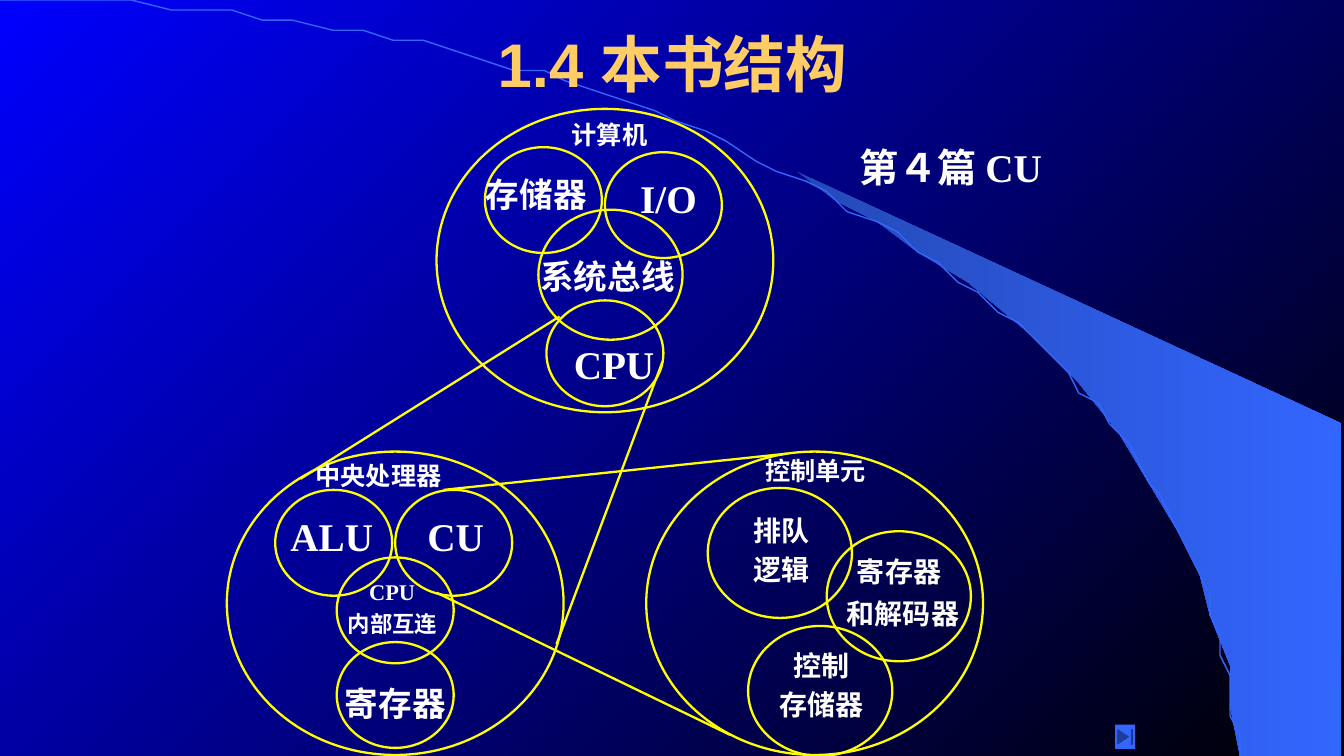
from pptx import Presentation
from pptx.dml.color import RGBColor
from pptx.enum.shapes import MSO_CONNECTOR as Connector, MSO_SHAPE as Preset
from pptx.enum.text import MSO_ANCHOR as Anchor, PP_ALIGN as Align
from pptx.oxml.ns import qn
from pptx.util import Inches, Pt
from lxml.etree import SubElement

# Grid: square cells, 133.3 columns by 75 rows
CELL = Inches(0.1)
COLUMNS, ROWS = 133.3, 75

BLUE = RGBColor(0x00, 0x00, 0xFF)
BLACK = RGBColor(0x00, 0x00, 0x00)
DEEP_BLUE = RGBColor(0x24, 0x49, 0xB6)
BRIGHT_BLUE = RGBColor(0x33, 0x66, 0xFF)
GOLD = RGBColor(0xFF, 0xCC, 0x66)
YELLOW = RGBColor(0xFF, 0xFF, 0x00)
WHITE = RGBColor(0xFF, 0xFF, 0xFF)

CHINESE, SERIF, SANS = "Noto Sans CJK SC", "Times New Roman", "Arial"

# Circle diameters as columns, rows
SMALL, MEDIUM, LARGE = (11.6, 10.5), (14.3, 12.9), (33.4, 30.1)


def cells(*counts):
    return [round(count * CELL) for count in counts]


def write(frame, text, font=CHINESE, size=18, color=WHITE, align=Align.LEFT):
    """Append text to the last paragraph; each line break opens a new one."""
    for index, line in enumerate(text.split("\n")):
        paragraph = frame.add_paragraph() if index else frame.paragraphs[-1]
        paragraph.alignment = align
        if index:
            paragraph.space_before = Pt(size * 0.2)
        run = paragraph.add_run()
        run.text = line
        run.font.name, run.font.size, run.font.bold = font, Pt(size), True
        run.font.color.rgb = color
        SubElement(run.font._element, qn("a:ea"), typeface=CHINESE)


class Diagram:
    def __init__(self, slide, line_color=YELLOW, line_width=1.63):
        self.slide, self.shapes = slide, slide.shapes
        self.line_color, self.line_width = line_color, Pt(line_width)

    def gradient(self, fill, start, end, angle):
        fill.gradient()
        fill.gradient_angle = angle
        for stop, color, position in zip(fill.gradient_stops, (start, end), (0, 1)):
            stop.color.rgb, stop.position = color, position

    def outline(self, points, closed):
        builder = self.shapes.build_freeform(*points[0], scale=CELL)
        builder.add_line_segments(points[1:], close=closed)
        shape = builder.convert_to_shape()
        shape.shadow.inherit = False
        return shape

    def circle(self, left, top, diameters):
        ring = self.shapes.add_shape(Preset.OVAL, *cells(left, top, *diameters))
        ring.shadow.inherit = False
        ring.fill.background()
        ring.line.color.rgb, ring.line.width = self.line_color, self.line_width

    def line(self, *ends):
        link = self.shapes.add_connector(Connector.STRAIGHT, *cells(*ends))
        link.line.color.rgb, link.line.width = self.line_color, self.line_width
        SubElement(link._element.spPr, qn("a:effectLst"))

    def label(self, text, left, top, width, height, anchor=Anchor.TOP, **style):
        frame = self.shapes.add_textbox(*cells(left, top, width, height)).text_frame
        frame.word_wrap = True
        frame.vertical_anchor = anchor
        frame.margin_left = frame.margin_right = 0
        frame.margin_top = frame.margin_bottom = 0
        write(frame, text, **style)
        return frame

    def button(self, preset, left, top, width, height, color):
        key = self.shapes.add_shape(preset, *cells(left, top, width, height))
        key.shadow.inherit = False
        key.fill.solid()
        key.fill.fore_color.rgb = color
        key.line.fill.background()


def main():
    deck = Presentation()
    deck.slide_width, deck.slide_height = cells(COLUMNS, ROWS)
    diagram = Diagram(deck.slides.add_slide(deck.slide_layouts[6]))

    # Background with the blue sweep and its arc
    diagram.gradient(diagram.slide.background.fill, BLUE, BLACK, 315)
    sweep = diagram.outline([
        (122.7, 74.8), (133.1, 74.9), (133.1, 42.3), (78.6, 17.3), (83.2, 19.9),
        (87, 22.2), (91.3, 25), (95.5, 28), (101.6, 33), (107, 38.4), (111, 43.1),
        (114.4, 47.9), (117.1, 52.8), (119.1, 57.2), (120.4, 60.9), (121.7, 65.6),
        (122.3, 69.6)], closed=True)
    diagram.gradient(sweep.fill, DEEP_BLUE, BRIGHT_BLUE, 0)
    sweep.line.fill.background()

    steps = [step / 60 for step in range(61)]
    arc = diagram.outline([
        (3 * t * (1 - t) ** 2 * 67.7 + (3 * t * t * (1 - t) + t ** 3) * 122.6,
         3 * t * t * (1 - t) * 33.5 + t ** 3 * 74.9) for t in steps], closed=False)
    arc.fill.background()
    arc.line.color.rgb, arc.line.width = BRIGHT_BLUE, Pt(1)

    # Headings
    diagram.label("1.4 本书结构", 24.2, 0, 85, 12.5, anchor=Anchor.MIDDLE,
                  font=SANS, size=44, color=GOLD, align=Align.CENTER)
    part = diagram.label("第４篇 ", 85.2, 14.2, 27.8, 4.7, size=28)
    write(part, "CU", font=SERIF, size=28)

    # Circles: computer, central processor, control unit
    for left, top, diameters in [
            (43.3, 10.8, LARGE), (48.1, 14.6, SMALL), (60, 15.1, SMALL),
            (53.4, 20.8, MEDIUM), (54.2, 29.8, SMALL),
            (22.5, 44.8, LARGE), (27.3, 48.6, SMALL), (39.2, 48.6, SMALL),
            (33.4, 55.3, SMALL), (33.4, 63.7, SMALL),
            (64.1, 44.8, LARGE), (70.2, 48.4, MEDIUM), (82, 52.7, MEDIUM),
            (74.2, 62.1, MEDIUM)]:
        diagram.circle(left, top, diameters)

    # Zoom lines from a part to its enlarged circle
    for ends in [(55.5, 31.4, 29.8, 47.5), (65.7, 35.9, 55.2, 63.9),
                 (43.3, 58.8, 72.4, 72.9), (44, 48.6, 78.1, 45)]:
        diagram.line(*ends)

    # Chinese labels
    for text, left, top, width, size in [
            ("计算机", 56.7, 11.8, 10, 18), ("存储器", 48.2, 17.3, 12, 24),
            ("系统总线", 53.6, 25.4, 15, 24),
            ("中央处理器", 31.3, 45.7, 26.2, 18), ("内部互连", 34.5, 60.5, 10.5, 16),
            ("寄存器", 34.2, 67.8, 12, 24),
            ("控制单元", 75.9, 45.2, 14.5, 18), ("寄存器", 85, 55, 10, 20),
            ("和解码器", 84, 59.2, 13, 20)]:
        diagram.label(text, left, top, width, size / 6, size=size)
    for text, left, top, width in [("排队\n逻辑", 70.8, 50.9, 13.5),
                                   ("控制\n存储器", 75.5, 64.3, 11.9)]:
        diagram.label(text, left, top, width, 7.4, size=20, align=Align.CENTER)

    # Latin labels
    for text, left, top, width, size in [
            ("I/O", 62.2, 17.3, 8.2, 28), ("CPU", 55.9, 33.8, 10, 28),
            ("ALU", 27.9, 50.8, 10, 28), ("CU", 40.2, 50.8, 10, 28),
            ("CPU", 34.2, 57.4, 9.4, 16)]:
        diagram.label(text, left, top, width, size / 6,
                      font=SERIF, size=size, align=Align.CENTER)

    # Navigation button
    diagram.button(Preset.ACTION_BUTTON_END, 110.6, 71.9, 2, 2.4, BRIGHT_BLUE)

    deck.save("out.pptx")


if __name__ == "__main__":
    main()
